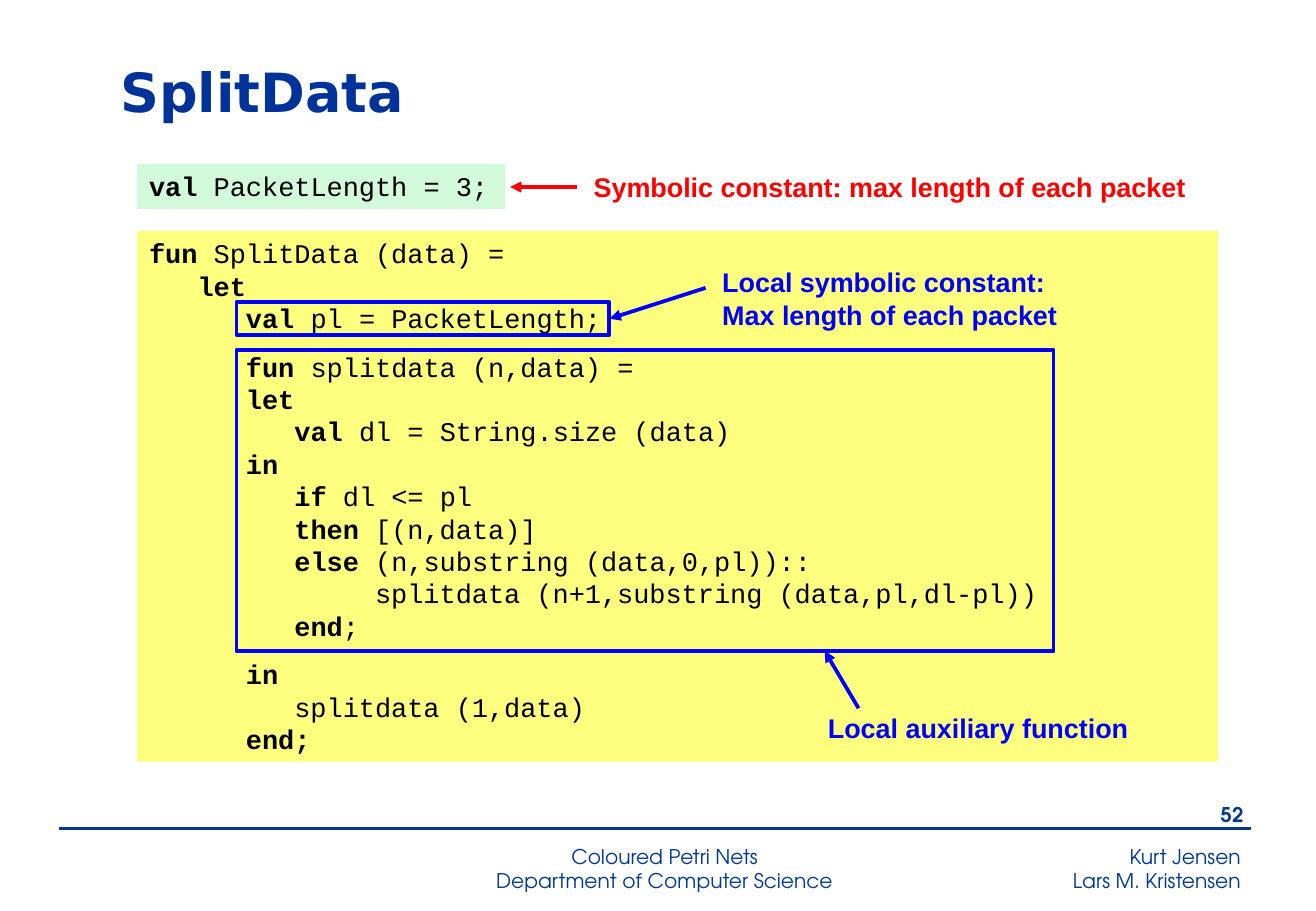
from typing import NamedTuple, Optional

from lxml.etree import SubElement
from pptx import Presentation
from pptx.dml.color import RGBColor
from pptx.enum.shapes import MSO_CONNECTOR, MSO_SHAPE
from pptx.enum.text import MSO_ANCHOR as Anchor, PP_ALIGN as Align
from pptx.oxml.ns import qn
from pptx.shapes.autoshape import Shape
from pptx.shapes.connector import Connector
from pptx.slide import Slide
from pptx.text.text import _Paragraph as Paragraph
from pptx.util import Cm, Pt

NAVY = RGBColor(0x00, 0x38, 0x93)
TITLE_BLUE = RGBColor(0x00, 0x33, 0x99)
BLUE = RGBColor(0x00, 0x00, 0xFF)
RED = RGBColor(0xFF, 0x00, 0x00)
BLACK = RGBColor(0x00, 0x00, 0x00)
YELLOW = RGBColor(0xFF, 0xFF, 0x00)
GREEN = RGBColor(0xA7, 0xF7, 0xB6)

RIGHT_SIDE = 3
CODE_PITCH = 19.2
LABEL_PITCH = 19.6


class Box(NamedTuple):
    left: float
    top: float
    width: float
    height: float


class Style(NamedTuple):
    font: str
    size: float
    color: RGBColor
    bold: bool = False
    align: Align = Align.LEFT
    pitch: Optional[float] = None


class Label(NamedTuple):
    box: Box
    lines: list[str]
    style: Style


class CodePanel(NamedTuple):
    box: Box
    fill: RGBColor
    blocks: list[str]


class Arrow(NamedTuple):
    start: tuple[float, float]
    end: tuple[float, float]
    color: RGBColor
    target: Optional[Shape] = None


CODE = Style("Courier New", 16, BLACK, pitch=CODE_PITCH)
NOTE = Style("Arial", 16, BLUE, bold=True, pitch=LABEL_PITCH)
FOOTER = Style("TeX Gyre Adventor", 12, NAVY, align=Align.CENTER)
TITLE = Style("DejaVu Sans", 32, TITLE_BLUE, bold=True)

PANELS = [
    CodePanel(Box(2.87, 4.83, 22.61, 11.1), YELLOW, [
        """*fun* SplitData (data) =
   *let*
      *val* pl = PacketLength;""",
        """      *fun* splitdata (n,data) =
      *let*
         *val* dl = String.size (data)
      *in*
         *if* dl <= pl
         *then* [(n,data)]
         *else* (n,substring (data,0,pl))::
              splitdata (n+1,substring (data,pl,dl-pl))
         *end*;""",
        """      *in*
         splitdata (1,data)
      *end;*""",
    ]),
    CodePanel(Box(2.87, 3.43, 7.7, 0.94), GREEN, ["*val* PacketLength = 3;"]),
]

CONSTANT_FRAME = Box(4.95, 6.32, 7.8, 0.69)
FUNCTION_FRAME = Box(4.95, 7.32, 17.09, 6.3)

LABELS = [
    Label(Box(14.86, 5.41, 7.59, 1.63),
          ["Local symbolic constant:", "Max length of each packet"], NOTE),
    Label(Box(17.07, 14.73, 7.59, 0.94), ["Local auxiliary function"], NOTE),
    Label(Box(12.17, 3.43, 13.61, 0.94),
          ["Symbolic constant: max length of each packet"], NOTE._replace(color=RED)),
    Label(Box(8.66, 17.53, 10.49, 1.19),
          ["Coloured Petri Nets", "Department of Computer Science"], FOOTER),
    Label(Box(17.65, 17.53, 8.56, 1.27),
          ["Kurt Jensen", "Lars M. Kristensen"], FOOTER._replace(align=Align.RIGHT)),
    Label(Box(24.46, 16.66, 1.8, 0.84),
          ["52"], FOOTER._replace(bold=True, align=Align.RIGHT)),
]


def place(shape: Shape, box: Box) -> None:
    shape.left, shape.top, shape.width, shape.height = map(Cm, box)


def add_run(paragraph: Paragraph, text: str, style: Style, bold: bool) -> None:
    run = paragraph.add_run()
    run.text = text
    run.font.name, run.font.size, run.font.bold = style.font, Pt(style.size), bold
    run.font.color.rgb = style.color


def next_paragraph(shape: Shape, first: bool, style: Style) -> Paragraph:
    frame = shape.text_frame
    paragraph = frame.paragraphs[0] if first else frame.add_paragraph()
    paragraph.alignment = style.align
    if style.pitch:
        paragraph.line_spacing = Pt(style.pitch)
    return paragraph


def write_lines(shape: Shape, lines: list[str], style: Style) -> None:
    shape.text_frame.word_wrap = True
    for index, line in enumerate(lines):
        add_run(next_paragraph(shape, index == 0, style), line, style, style.bold)


def add_rectangle(slide: Slide, box: Box) -> Shape:
    shape = slide.shapes.add_shape(MSO_SHAPE.RECTANGLE, *map(Cm, box))
    shape.shadow.inherit = False
    return shape


def add_code_panel(slide: Slide, panel: CodePanel) -> None:
    shape = add_rectangle(slide, panel.box)
    shape.line.fill.background()
    shape.fill.solid()
    shape.fill.fore_color.rgb = panel.fill
    color = shape.fill._xPr.find(qn("a:solidFill"))[0]
    SubElement(color, qn("a:alpha"), val="50000")
    shape.text_frame.word_wrap = True
    shape.text_frame.vertical_anchor = Anchor.TOP
    for block_index, block in enumerate(panel.blocks):
        for line_index, line in enumerate(block.split("\n")):
            paragraph = next_paragraph(shape, block_index + line_index == 0, CODE)
            if block_index and line_index == 0:
                paragraph.space_before = Pt(CODE_PITCH / 2)
            for part_index, part in enumerate(line.split("*")):
                if part:
                    add_run(paragraph, part, CODE, part_index % 2 == 1)


def add_frame(slide: Slide, box: Box) -> Shape:
    shape = add_rectangle(slide, box)
    shape.fill.background()
    shape.line.color.rgb, shape.line.width = BLUE, Pt(2.25)
    return shape


def add_line(slide: Slide, start: tuple[float, float], end: tuple[float, float],
             color: RGBColor, width: float) -> Connector:
    line = slide.shapes.add_connector(MSO_CONNECTOR.STRAIGHT, *map(Cm, start + end))
    line.line.color.rgb, line.line.width = color, Pt(width)
    SubElement(line._element.spPr, qn("a:effectLst"))
    return line


def add_arrow(slide: Slide, arrow: Arrow) -> None:
    line = add_line(slide, arrow.start, arrow.end, arrow.color, 2.25)
    SubElement(line.line._get_or_add_ln(), qn("a:tailEnd"), type="triangle")
    if arrow.target is not None:
        line.end_connect(arrow.target, RIGHT_SIDE)


def main() -> None:
    """Build the SplitData slide and save it."""
    presentation = Presentation()
    presentation.slide_width, presentation.slide_height = Cm(27.53), Cm(19.05)
    slide = presentation.slides.add_slide(presentation.slide_layouts[5])

    title = slide.shapes.title
    place(title, Box(2.26, 1.02, 24.21, 1.75))
    title.text_frame.vertical_anchor = Anchor.MIDDLE
    write_lines(title, ["SplitData"], TITLE)

    add_line(slide, (1.24, 17.32), (26.16, 17.32), NAVY, 1.5)
    for panel in PANELS:
        add_code_panel(slide, panel)
    constant_frame = add_frame(slide, CONSTANT_FRAME)
    add_frame(slide, FUNCTION_FRAME)
    for label in LABELS:
        text_box = slide.shapes.add_textbox(*map(Cm, label.box))
        write_lines(text_box, label.lines, label.style)
    for arrow in (
        Arrow((14.76, 6.02), (12.75, 6.66), BLUE, constant_frame),
        Arrow((17.96, 14.81), (17.25, 13.61), BLUE),
        Arrow((12.07, 3.91), (10.67, 3.91), RED),
    ):
        add_arrow(slide, arrow)

    presentation.save("out.pptx")


if __name__ == "__main__":
    main()
